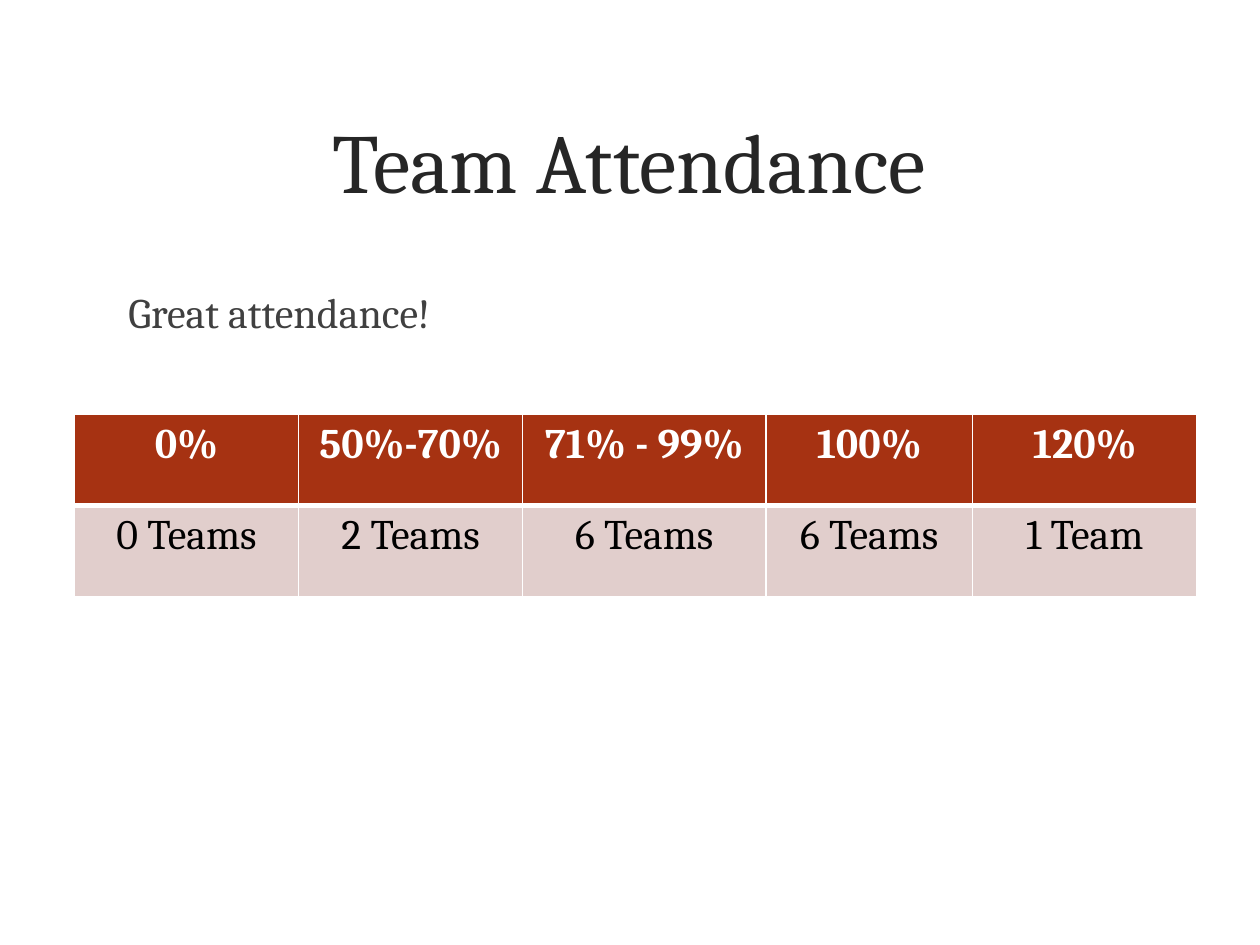
from dataclasses import dataclass

from lxml import etree
from pptx import Presentation
from pptx import util as u
from pptx.dml.color import RGBColor
from pptx.enum import text
from pptx.oxml import ns


@dataclass(frozen=True)
class Theme:
    font: str = "Cambria"
    title_size: int = 48
    body_size: int = 24
    title: str = "262626"
    body: str = "404040"
    header_fill: str = "A63212"
    header_text: str = "FFFFFF"
    row_fill: str = "E1CECC"
    row_text: str = "000000"
    rule: str = "FFFFFF"
    thin: float = 1
    thick: float = 3


THEME = Theme()
ATTENDANCE = [
    ["0%", "50%-70%", "71% - 99%", "100%", "120%"],
    ["0 Teams", "2 Teams", "6 Teams", "6 Teams", "1 Team"],
]
COLUMN_WIDTHS = [4.52, 4.52, 4.9, 4.17, 4.52]
ROW_HEIGHT = 1.83


def write(frame, wording, size, color, align, bold=False):
    frame.text = wording
    paragraph = frame.paragraphs[0]
    paragraph.alignment = align
    font = paragraph.runs[0].font
    font.name, font.size, font.bold = THEME.font, u.Pt(size), bold
    font.color.rgb = RGBColor.from_string(color)
    return paragraph


def add_title(slide, wording):
    title = slide.shapes.title
    title.left, title.top = u.Cm(1.52), u.Cm(1.22)
    title.width, title.height = u.Cm(22.33), u.Cm(4.01)
    title.text_frame.vertical_anchor = text.MSO_ANCHOR.MIDDLE
    write(title.text_frame, wording, THEME.title_size, THEME.title,
          text.PP_ALIGN.CENTER)


def add_remark(slide, wording):
    remark = slide.shapes.add_textbox(u.Cm(2.34), u.Cm(5.66),
                                      u.Cm(20.75), u.Cm(10.97))
    remark.text_frame.word_wrap = True
    paragraph = write(remark.text_frame, wording, THEME.body_size, THEME.body,
                      text.PP_ALIGN.LEFT)
    paragraph.space_before = u.Pt(0.2 * THEME.body_size)


def set_borders(cell, widths):
    """Draw the cell's edges; widths are points for left, right, top, bottom."""
    properties = cell._tc.get_or_add_tcPr()
    for index, (edge, width) in enumerate(zip("LRTB", widths)):
        line = etree.Element(ns.qn(f"a:ln{edge}"), w=str(u.Pt(width)))
        fill = etree.SubElement(line, ns.qn("a:solidFill"))
        etree.SubElement(fill, ns.qn("a:srgbClr"), val=THEME.rule)
        properties.insert(index, line)


def add_attendance_table(slide):
    table = slide.shapes.add_table(
        len(ATTENDANCE), len(COLUMN_WIDTHS), u.Cm(1.5), u.Cm(8.36),
        u.Cm(sum(COLUMN_WIDTHS)), u.Cm(ROW_HEIGHT * len(ATTENDANCE))).table
    for column, width in zip(table.columns, COLUMN_WIDTHS):
        column.width = u.Cm(width)

    thin, thick = THEME.thin, THEME.thick
    styles = [
        (THEME.header_fill, THEME.header_text, True, (thin, thin, thin, thick)),
        (THEME.row_fill, THEME.row_text, False, (thin, thin, thick, thin)),
    ]
    for row, wordings, style in zip(table.rows, ATTENDANCE, styles):
        row.height = u.Cm(ROW_HEIGHT)
        fill, color, bold, borders = style
        for cell, wording in zip(row.cells, wordings):
            write(cell.text_frame, wording, THEME.body_size, color,
                  text.PP_ALIGN.CENTER, bold)
            cell.fill.solid()
            cell.fill.fore_color.rgb = RGBColor.from_string(fill)
            set_borders(cell, borders)


def main():
    deck = Presentation()
    deck.slide_width, deck.slide_height = u.Cm(25.4), u.Cm(19.05)
    slide = deck.slides.add_slide(deck.slide_layouts.get_by_name("Title Only"))

    # Heading and remark
    add_title(slide, "Team Attendance")
    add_remark(slide, "Great attendance!")

    # Number of teams per attendance band
    add_attendance_table(slide)

    deck.save("out.pptx")


if __name__ == "__main__":
    main()
